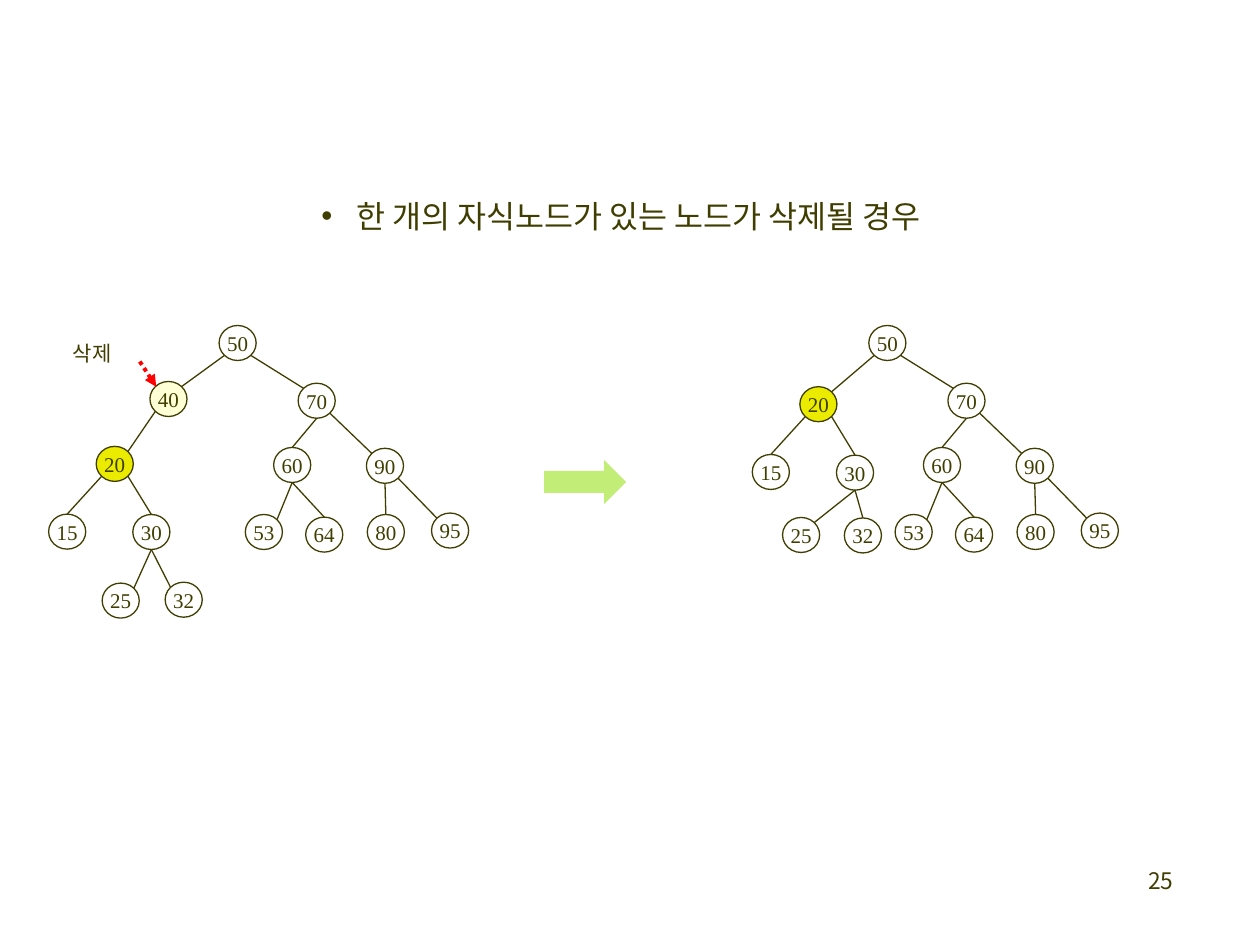
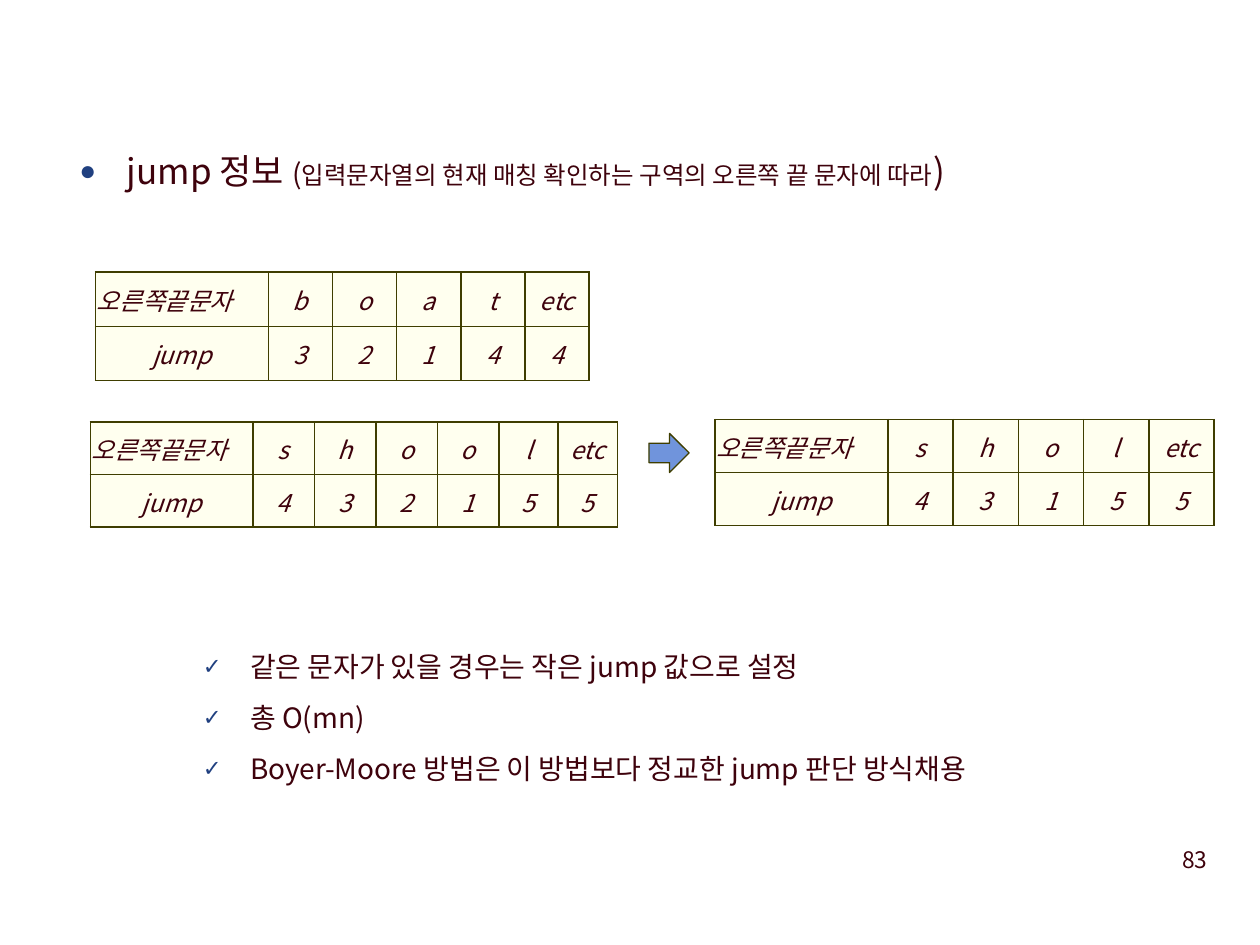
"""Builds two lecture slides: deleting a tree node, and jump tables for string search."""
from lxml import etree
from pptx import Presentation
from pptx import util as u
from pptx.dml import color
from pptx.enum import dml, shapes, text
from pptx.oxml import ns

Pt = u.Pt
SANS, SERIF, LATIN = "Noto Sans CJK KR", "Times New Roman", "Arial"
OLIVE, WINE, BLUE = "3F3E00", "3E020C", "204080"
CREAM, YELLOW, IVORY = "FFFFD6", "EBEB00", "FFFFEF"
RED, LIME, SKY = "FF0000", "C2ED77", "7094DC"

NODE_SIZE = (21.2, 20)
SITES = {"T": (0, -1), "B": (0, 1), "TL": (-0.71, -0.71), "TR": (0.71, -0.71),
         "BL": (-0.71, 0.71), "BR": (0.71, 0.71)}
RIGHT_HALF = {
    "nodes": {"50": (135.8, 196), "70": (181, 229), "60": (167, 265.7), "90": (220, 266.2),
              "53": (150.8, 304), "64": (185.3, 305.5), "80": (220.5, 304), "95": (257.2, 303.2)},
    "edges": ["50 BR 70 TL", "70 B 60 T", "70 BR 90 TL", "60 B 53 TR", "60 B 64 T",
              "90 B 80 T", "90 BR 95 TL", "20 BL 15 T", "20 BR 30 T", "30 B 25 TR"],
}
TREES = [
    {"shift": 0, "fills": {"40": CREAM, "20": YELLOW},
     "nodes": {"40": (96.3, 228), "20": (65.6, 265.1), "15": (38.4, 303.8), "30": (86.5, 304),
               "25": (69, 343.2), "32": (105, 342.7)},
     "edges": ["50 BL 40 TR", "40 BL 20 TR", "30 B 32 TL"]},
    {"shift": 371.3, "fills": {"20": YELLOW},
     "nodes": {"20": (96.4, 231), "15": (69.2, 269.7), "30": (117.3, 270.1),
               "25": (86.5, 305.7), "32": (121.8, 306)},
     "edges": ["50 BL 20 TR", "30 B 32 T"]},
]

DELETE_TITLE = [("한 개의 자식노드가 있는 노드가 삭제될 경우", 18)]
JUMP_TITLE = [("jump 정보 ", 20), ("(", 16),
              ("입력문자열의 현재 매칭 확인하는 구역의 오른쪽 끝 문자에 따라", 14), (")", 20)]
JUMP_NOTES = ["같은 문자가 있을 경우는 작은 jump 값으로 설정", "총 O(mn)",
              "Boyer-Moore 방법은 이 방법보다 정교한 jump 판단 방식채용"]
ROW_NAMES = ["오른쪽끝문자", "jump"]
JUMP_TABLES = [
    {"at": (54.7, 155.5), "row": 31, "widths": [98.6] + [36.7] * 5,
     "jumps": [("b", 3), ("o", 2), ("a", 1), ("t", 4), ("etc", 4)]},
    {"at": (51.6, 241.2), "row": 30, "widths": [92.9] + [35.2] * 4 + [33.8] * 2,
     "jumps": [("s", 4), ("h", 3), ("o", 2), ("o", 1), ("l", 5), ("etc", 5)]},
    {"at": (408.6, 239.8), "row": 30.2, "widths": [98.8] + [37.3] * 5,
     "jumps": [("s", 4), ("h", 3), ("o", 1), ("l", 5), ("etc", 5)]},
]


def rgb(value):
    """Turn a hex string into a colour."""
    return color.RGBColor.from_string(value)


def child(parent, tag, **attributes):
    """Append an XML element in the drawing namespace."""
    return etree.SubElement(parent, ns.qn("a:" + tag), attributes)


def style(para, size, face, ink, align=text.PP_ALIGN.LEFT, italic=None):
    """Set the font and alignment of a whole paragraph."""
    para.alignment = align
    font = para.font
    font.size, font.italic, font.name = Pt(size), italic, face
    font.color.rgb = rgb(ink)
    child(para._p.pPr.find(ns.qn("a:defRPr")), "ea", typeface=face)


def bullet(para, mark, indent, ink=None):
    """Give a paragraph a bullet with a hanging indent."""
    properties = para._p.get_or_add_pPr()
    properties.set("marL", str(Pt(indent)))
    properties.set("indent", str(-Pt(indent)))
    if ink:
        child(child(properties, "buClr"), "srgbClr", val=ink)
        child(properties, "buSzPct", val="80000")
    child(properties, "buFont", typeface=LATIN)
    child(properties, "buChar", char=mark)


def place(box, left, top, width, height):
    """Move a box and let its text run from the top."""
    box.left, box.top, box.width, box.height = map(Pt, (left, top, width, height))
    frame = box.text_frame
    frame.word_wrap = True
    frame.auto_size = text.MSO_AUTO_SIZE.NONE
    frame.vertical_anchor = text.MSO_ANCHOR.TOP
    return frame


def add_label(page, words, area, size, face, ink, align, spacing=1.0):
    """Add a one-line text box."""
    para = place(page.shapes.add_textbox(0, 0, 0, 0), *area).paragraphs[0]
    para.text, para.line_spacing = words, spacing
    style(para, size, face, ink, align)


def set_title(page, spans, area, ink):
    """Fill the title with spans of given sizes and return its paragraph."""
    para = place(page.shapes.title, *area).paragraphs[0]
    for words, size in spans:
        span = para.add_run()
        span.text, span.font.size = words, Pt(size)
    return para


def add_shape(page, kind, area, fill=None, line=None):
    """Add a preset shape without shadow."""
    shape = page.shapes.add_shape(kind, *map(Pt, area))
    shape.shadow.inherit = False
    if fill:
        shape.fill.solid()
        shape.fill.fore_color.rgb = rgb(fill)
    else:
        shape.fill.background()
    if line:
        shape.line.color.rgb, shape.line.width = rgb(line), Pt(0.75)
    else:
        shape.line.fill.background()
    return shape


def add_line(page, start, end, ink=OLIVE, width=0.75):
    """Add a straight connector without shadow."""
    line = page.shapes.add_connector(shapes.MSO_CONNECTOR.STRAIGHT, *map(Pt, start + end))
    line.line.color.rgb, line.line.width = rgb(ink), Pt(width)
    child(line._element.spPr, "effectLst")
    return line


def add_tree(page, tree):
    """Draw the nodes and edges of a binary search tree."""
    width, height = NODE_SIZE
    nodes = {key: (x + tree["shift"], y)
             for key, (x, y) in (RIGHT_HALF["nodes"] | tree["nodes"]).items()}

    def site(key, name):
        x, y = nodes[key]
        across, down = SITES[name]
        return x + across * width / 2, y + down * height / 2

    for edge in RIGHT_HALF["edges"] + tree["edges"]:
        parent, leave, kid, arrive = edge.split()
        add_line(page, site(parent, leave), site(kid, arrive))
    for key, (x, y) in nodes.items():
        node = add_shape(page, shapes.MSO_SHAPE.OVAL,
                         (x - width / 2, y - height / 2, width, height),
                         tree["fills"].get(key), OLIVE)
        frame = node.text_frame
        frame.margin_left = frame.margin_right = frame.margin_top = frame.margin_bottom = 0
        frame.vertical_anchor, frame.word_wrap = text.MSO_ANCHOR.MIDDLE, False
        frame.text = key
        style(frame.paragraphs[0], 12, SERIF, OLIVE, text.PP_ALIGN.CENTER)


def format_cell(cell, words, align):
    """Write a table cell and draw its fill and borders."""
    cell.text = words
    cell.margin_left = cell.margin_right = cell.margin_top = Pt(0.7)
    cell.margin_bottom = 0
    cell.vertical_anchor = text.MSO_ANCHOR.MIDDLE
    style(cell.text_frame.paragraphs[0], 14, SANS, WINE, align, italic=True)
    properties = cell._tc.get_or_add_tcPr()
    for side in ("lnL", "lnR", "lnT", "lnB"):
        border = child(properties, side, w=str(Pt(1)))
        child(child(border, "solidFill"), "srgbClr", val=OLIVE)
    cell.fill.solid()
    cell.fill.fore_color.rgb = rgb(IVORY)


def add_jump_table(page, spec):
    """Add a table of last characters and their jumps."""
    columns = [ROW_NAMES] + spec["jumps"]
    table = page.shapes.add_table(2, len(columns), *map(Pt, spec["at"]),
                                  Pt(sum(spec["widths"])), Pt(2 * spec["row"])).table
    table.first_row = table.horz_banding = False
    for row in table.rows:
        row.height = Pt(spec["row"])
    for number, (column, width) in enumerate(zip(columns, spec["widths"])):
        table.columns[number].width = Pt(width)
        for row, words in enumerate(column):
            align = text.PP_ALIGN.LEFT if words == ROW_NAMES[0] else text.PP_ALIGN.CENTER
            format_cell(table.cell(row, number), str(words), align)


def add_page_number(page, number, left, top, ink):
    """Add the page number at the lower right."""
    add_label(page, number, (left, top, 149.8, 36), 13, SANS, ink, text.PP_ALIGN.RIGHT)


def build_delete_page(deck):
    """Build the slide on deleting a node with one child."""
    page = deck.slides.add_slide(deck.slide_layouts[5])
    title = set_title(page, DELETE_TITLE, (176.4, 97.9, 445, 40.3), OLIVE)
    title.line_spacing = 1.5
    bullet(title, "•", 20.2)
    style(title, 18, SANS, OLIVE)
    for tree in TREES:
        add_tree(page, tree)
    pointer = add_line(page, (79.9, 206.6), (89.3, 221), RED, 2.25)
    pointer.line.dash_style = dml.MSO_LINE.ROUND_DOT
    child(pointer.line._get_or_add_ln(), "tailEnd", type="triangle")
    add_label(page, "삭제", (34.6, 183.6, 45.4, 28.8), 12, LATIN, OLIVE,
              text.PP_ALIGN.LEFT, 1.5)
    add_shape(page, shapes.MSO_SHAPE.RIGHT_ARROW, (311, 262.8, 46.8, 25.2), LIME)
    add_page_number(page, "25", 527.8, 491.8, OLIVE)


def build_jump_page(deck):
    """Build the slide on jump tables."""
    page = deck.slides.add_slide(deck.slide_layouts[1])
    title = set_title(page, JUMP_TITLE, (38.2, 79.9, 630.7, 33.8), WINE)
    frame = place(page.placeholders[1], 108.7, 360.7, 488.9, 93.6)
    frame.text = "\n".join(JUMP_NOTES)
    items = [(title, "●", 20)] + [(para, "✓", 16) for para in frame.paragraphs]
    for para, mark, size in items:
        para.line_spacing, para.space_before = Pt(26), Pt(size / 5)
        bullet(para, mark, 27, BLUE)
        style(para, size, SANS, WINE)
    for spec in JUMP_TABLES:
        add_jump_table(page, spec)
    add_shape(page, shapes.MSO_SHAPE.RIGHT_ARROW, (370.8, 247.7, 23, 22.3), SKY, OLIVE)
    add_page_number(page, "83", 547.2, 479.5, WINE)


def main():
    """Build and save the deck."""
    deck = Presentation()
    deck.slide_width, deck.slide_height = Pt(720), Pt(540)
    build_delete_page(deck)
    build_jump_page(deck)
    deck.save("out.pptx")


if __name__ == "__main__":
    main()
